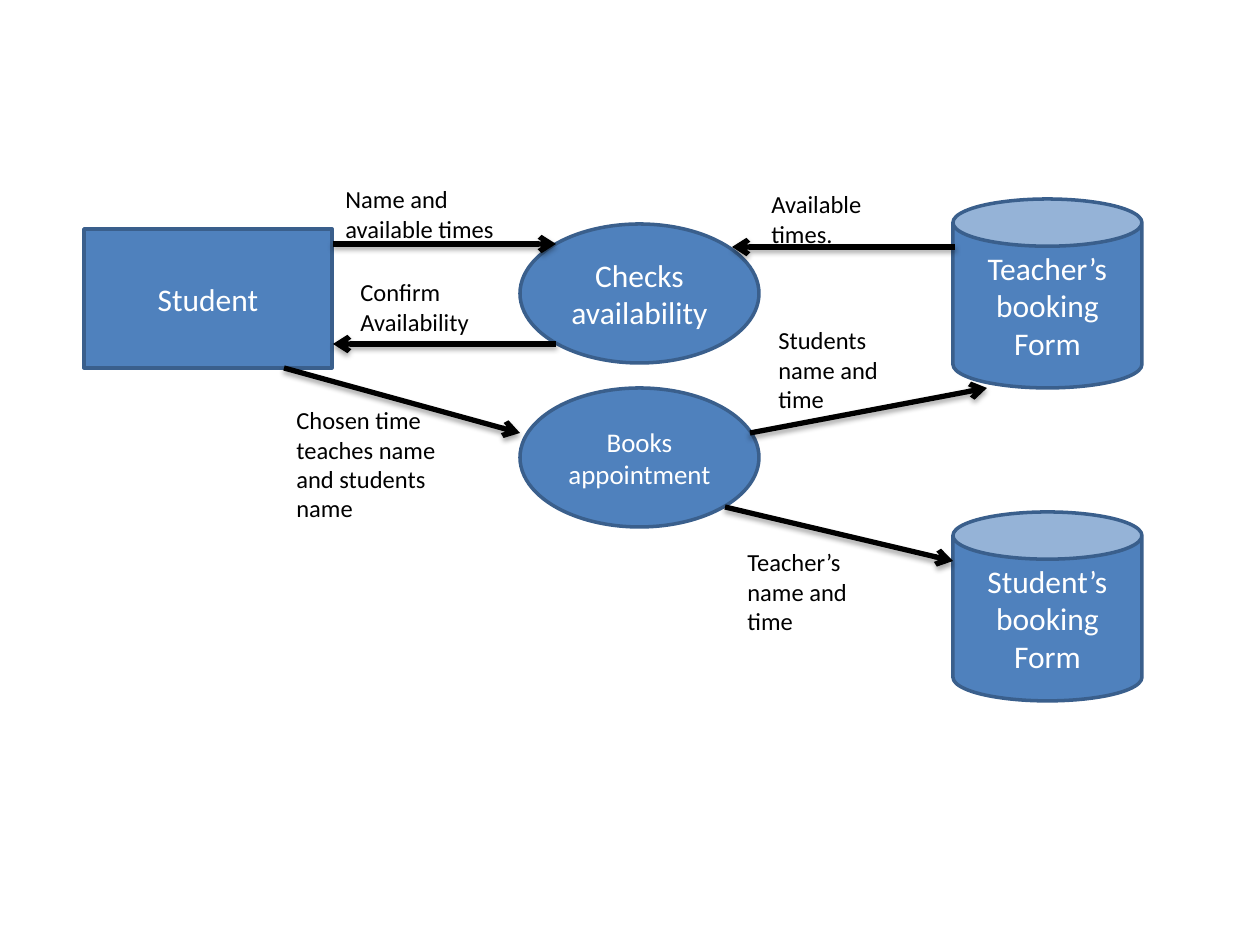
from dataclasses import dataclass
from typing import NamedTuple

from lxml.etree import SubElement
from pptx import Presentation
from pptx.dml.color import RGBColor
from pptx.enum.shapes import MSO_CONNECTOR as Connector, MSO_SHAPE as Shape
from pptx.enum.text import MSO_ANCHOR as Anchor, PP_ALIGN as Align
from pptx.oxml.ns import qn
from pptx.util import Emu, Pt

PX = 914400 / 126


@dataclass(frozen=True)
class Theme:
    font: str = "Calibri"
    node_fill: RGBColor = RGBColor(0x4F, 0x81, 0xBD)
    node_line: RGBColor = RGBColor(0x3A, 0x5F, 0x8C)
    node_text: RGBColor = RGBColor(0xFF, 0xFF, 0xFF)
    ink: RGBColor = RGBColor(0, 0, 0)
    node_size: float = 18
    small_node_size: float = 15.4
    label_size: float = 14
    gap_size: float = 11
    outline: float = 2
    flow: float = 3
    label_space: float = 10
    shadow_blur: float = 3.1
    shadow_distance: float = 1.8
    shadow_alpha: int = 35


THEME = Theme()


class Box(NamedTuple):
    left: int
    top: int
    width: int
    height: int


class Words(NamedTuple):
    text: str
    size: float = THEME.label_size


class Node(NamedTuple):
    kind: Shape
    box: Box
    words: Words


class Flow(NamedTuple):
    x1: int
    y1: int
    x2: int
    y2: int


class Label(NamedTuple):
    box: Box
    words: tuple[Words, ...]


def px(*lengths: int) -> list[Emu]:
    return [Emu(round(length * PX)) for length in lengths]


def add_words(paragraph, words: Words, color: RGBColor) -> None:
    run = paragraph.add_run()
    run.text = words.text
    run.font.name = THEME.font
    run.font.size = Pt(words.size)
    run.font.color.rgb = color


def draw_node(slide, node: Node) -> None:
    shape = slide.shapes.add_shape(node.kind, *px(*node.box))
    shape.shadow.inherit = False
    shape.fill.solid()
    shape.fill.fore_color.rgb = THEME.node_fill
    shape.line.color.rgb = THEME.node_line
    shape.line.width = Pt(THEME.outline)
    frame = shape.text_frame
    frame.word_wrap = True
    frame.vertical_anchor = Anchor.MIDDLE
    frame.paragraphs[0].alignment = Align.CENTER
    add_words(frame.paragraphs[0], node.words, THEME.node_text)


def draw_flow(slide, flow: Flow) -> None:
    arrow = slide.shapes.add_connector(Connector.STRAIGHT, *px(*flow))
    arrow.line.color.rgb = THEME.ink
    arrow.line.width = Pt(THEME.flow)
    SubElement(arrow.line._get_or_add_ln(), qn("a:tailEnd"), type="arrow")
    effects = SubElement(arrow._element.spPr, qn("a:effectLst"))
    shadow = SubElement(
        effects, qn("a:outerShdw"),
        blurRad=str(Pt(THEME.shadow_blur)), dist=str(Pt(THEME.shadow_distance)),
        dir=str(90 * 60000), rotWithShape="0",
    )
    tint = SubElement(shadow, qn("a:srgbClr"), val=str(THEME.ink))
    SubElement(tint, qn("a:alpha"), val=str(THEME.shadow_alpha * 1000))


def draw_label(slide, label: Label) -> None:
    frame = slide.shapes.add_textbox(*px(*label.box)).text_frame
    frame.word_wrap = True
    paragraph = frame.paragraphs[0]
    paragraph.space_after = Pt(THEME.label_space)
    for words in label.words:
        add_words(paragraph, words, THEME.ink)


PROCESS_LEFT, PROCESS_WIDTH, ROW_HEIGHT = 520, 239, 139
FORM_LEFT, FORM_SIDE = 953, 189
WIDE, NARROW = 179, 164


def process(top: int, text: str, size: float) -> Node:
    box = Box(PROCESS_LEFT, top, PROCESS_WIDTH, ROW_HEIGHT)
    return Node(Shape.OVAL, box, Words(text, size))


def form(top: int, owner: str) -> Node:
    box = Box(FORM_LEFT, top, FORM_SIDE, FORM_SIDE)
    return Node(Shape.CAN, box, Words(f"{owner}’s booking Form", THEME.node_size))


NODES = (
    Node(Shape.RECTANGLE, Box(84, 229, 248, ROW_HEIGHT), Words("Student", THEME.node_size)),
    process(224, "Checks availability", THEME.node_size),
    process(388, "Books appointment", THEME.small_node_size),
    form(199, "Teacher"),
    form(512, "Student"),
)

FLOWS = (
    Flow(333, 244, 556, 244),
    Flow(556, 344, 333, 344),
    Flow(955, 247, 732, 247),
    Flow(750, 433, 987, 388),
    Flow(284, 368, 520, 433),
    Flow(725, 507, 953, 561),
)

LABELS = (
    Label(Box(333, 178, WIDE, 92), (Words("Name and available times"),)),
    Label(Box(759, 183, NARROW, 33), (Words("Available times."),)),
    Label(Box(766, 319, NARROW, 82), (Words("Students name and time"),)),
    Label(Box(735, 541, NARROW, 82), (Words("Teacher’s name and time"),)),
    Label(Box(348, 271, WIDE, 92),
          (Words("Confirm"), Words(" ", THEME.gap_size), Words("Availability"))),
    Label(Box(284, 399, WIDE, 92),
          (Words("Chosen time teaches name and students name"),)),
)


def main() -> None:
    deck = Presentation()
    deck.slide_width, deck.slide_height = px(1260, 945)
    slide = deck.slides.add_slide(deck.slide_layouts[6])
    for node in NODES:
        draw_node(slide, node)
    for flow in FLOWS:
        draw_flow(slide, flow)
    for label in LABELS:
        draw_label(slide, label)
    deck.save("out.pptx")


main()
